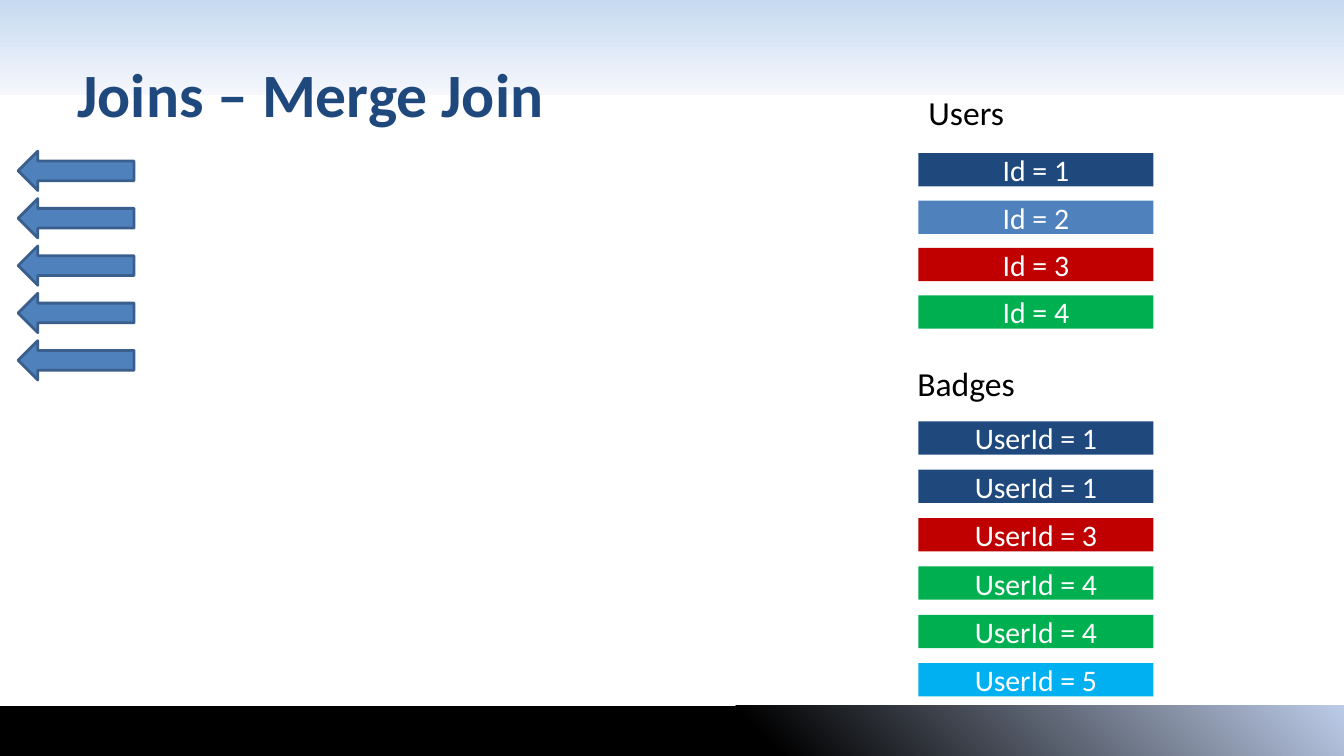
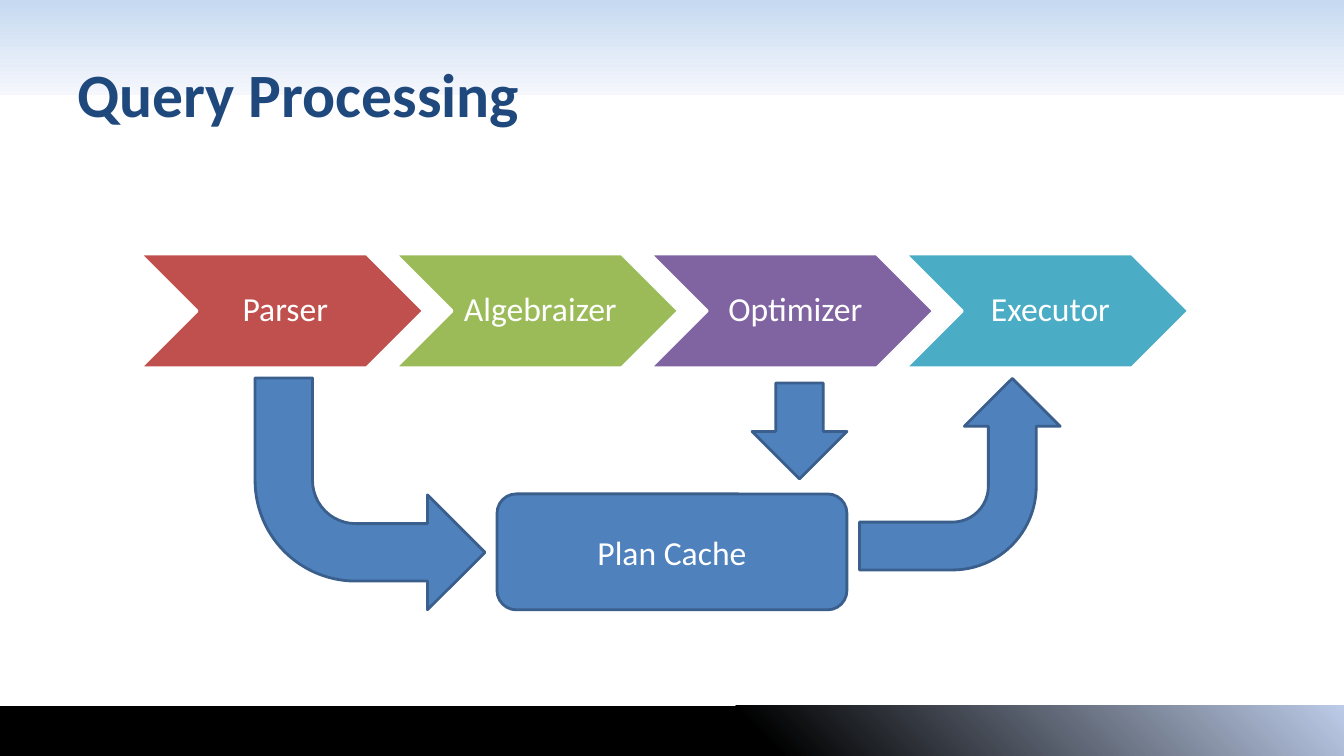
from pptx import Presentation
from pptx.dml.color import RGBColor
from pptx.enum.shapes import MSO_SHAPE as SHAPE
from pptx.enum.text import MSO_ANCHOR, PP_ALIGN
from pptx.util import Inches, Pt

MIDDLE, TOP = MSO_ANCHOR.MIDDLE, MSO_ANCHOR.TOP
LEFT, CENTER = PP_ALIGN.LEFT, PP_ALIGN.CENTER

WIDE, HIGH = 13.33, 7.5
FONT = "Calibri"
NAVY, BLUE, EDGE = "1F497D", "4F81BD", "3A5F8C"
RED, GREEN, SKY = "C00000", "00B050", "00B0F0"
WHITE, BLACK = "FFFFFF", "000000"

# top, height, angle, gradient stops
BANDS = [
    (0, 0.94, 270, [(0, "C6D9F1"), (1, "F5F7FC")]),
    (7, 0.5, 45, [(0.56, BLACK), (1, "BCCBE8")]),
]

# name, label left and top, first row top, row pitch, rows
TABLES = [
    ("Users", 9.11, 0.86, 1.52, 0.47,
     [("Id = 1", NAVY), ("Id = 2", BLUE), ("Id = 3", RED), ("Id = 4", GREEN)]),
    ("Badges", 9, 3.55, 4.18, 0.48,
     [("UserId = 1", NAVY), ("UserId = 1", NAVY), ("UserId = 3", RED),
      ("UserId = 4", GREEN), ("UserId = 4", GREEN), ("UserId = 5", SKY)]),
]
ROW_LEFT, ROW_WIDE, ROW_HIGH = 9.11, 2.33, 0.33
MARKS, MARK_TOP, MARK_STEP = 5, 1.5, 0.47

STAGES = [("Parser", "C0504D"), ("Algebraizer", "9BBB59"),
          ("Optimizer", "8064A2"), ("Executor", "4BACC6")]
STAGE_LEFT, STAGE_STEP = 1.39, 2.53

# shape, box, flipped, rotation
FLOWS = [
    (SHAPE.BENT_ARROW, (2.53, 3.75, 2.28, 2.3), True, 0),
    (SHAPE.BENT_ARROW, (8.57, 3.71, 1.9, 1.99), True, 270),
    (SHAPE.DOWN_ARROW, (7.46, 3.8, 0.94, 0.95), False, 0),
]


def rgb(code):
    return RGBColor.from_string(code)


def inches(box):
    return [Inches(side) for side in box]


def write(shape, text, size, color, align=CENTER, anchor=MIDDLE, bold=False):
    frame = shape.text_frame
    frame.text = text
    frame.vertical_anchor = anchor
    para = frame.paragraphs[0]
    para.alignment = align
    font = para.runs[0].font
    font.name, font.size, font.bold = FONT, Pt(size), bold
    font.color.rgb = rgb(color)
    return para


def label(slide, box, text, size, color, **style):
    area = slide.shapes.add_textbox(*inches(box))
    area.text_frame.word_wrap = True
    write(area, text, size, color, LEFT, **style)


def draw(slide, kind, box, fill=BLUE, line=EDGE):
    shape = slide.shapes.add_shape(kind, *inches(box))
    shape.shadow.inherit = False
    shape.fill.solid()
    shape.fill.fore_color.rgb = rgb(fill)
    if line:
        shape.line.color.rgb = rgb(line)
        shape.line.width = Pt(2)
    else:
        shape.line.fill.background()
    return shape


def start(deck, title):
    """Add a slide with the shared bands and title."""
    slide = deck.slides.add_slide(deck.slide_layouts[6])
    for top, high, angle, stops in BANDS:
        fill = draw(slide, SHAPE.RECTANGLE, (0, top, WIDE, high), line=None).fill
        fill.gradient()
        fill.gradient_angle = angle
        for stop, (place, color) in zip(fill.gradient_stops, stops):
            stop.position = place
            stop.color.rgb = rgb(color)
    label(slide, (0.67, 0.3, 12, 1.25), title, 44, NAVY,
          anchor=MIDDLE, bold=True)
    return slide


def joins(deck):
    slide = start(deck, "Joins – Merge Join")
    for name, left, top, first, pitch, rows in TABLES:
        label(slide, (left, top, 1.89, 0.5), name, 24, BLACK, anchor=TOP)
        for i, (text, color) in enumerate(rows):
            box = (ROW_LEFT, first + i * pitch, ROW_WIDE, ROW_HIGH)
            bar = draw(slide, SHAPE.RECTANGLE, box, color, None)
            write(bar, text, 21.3, WHITE)
    for i in range(MARKS):
        draw(slide, SHAPE.LEFT_ARROW,
             (0.18, MARK_TOP + i * MARK_STEP, 1.15, 0.39))


def query(deck):
    slide = start(deck, "Query Processing")
    for i, (text, color) in enumerate(STAGES):
        box = (STAGE_LEFT + i * STAGE_STEP, 2.52, 2.81, 1.13)
        stage = draw(slide, SHAPE.CHEVRON, box, color, WHITE)
        frame = stage.text_frame
        frame.word_wrap = False
        frame.margin_left, frame.margin_right = Inches(0.1), Inches(0.03)
        frame.margin_top = frame.margin_bottom = Inches(0.03)
        write(stage, text, 24, WHITE).line_spacing = 0.9
    cache = draw(slide, SHAPE.ROUNDED_RECTANGLE, (4.93, 4.9, 3.47, 1.15))
    write(cache, "Plan Cache", 24, WHITE)
    for kind, box, flip, turn in FLOWS:
        arrow = draw(slide, kind, box)
        arrow.rotation = turn
        if flip:
            arrow.element.spPr.xfrm.set("flipV", "1")


def main():
    deck = Presentation()
    deck.slide_width, deck.slide_height = inches((WIDE, HIGH))
    joins(deck)
    query(deck)
    deck.save("out.pptx")


if __name__ == "__main__":
    main()
